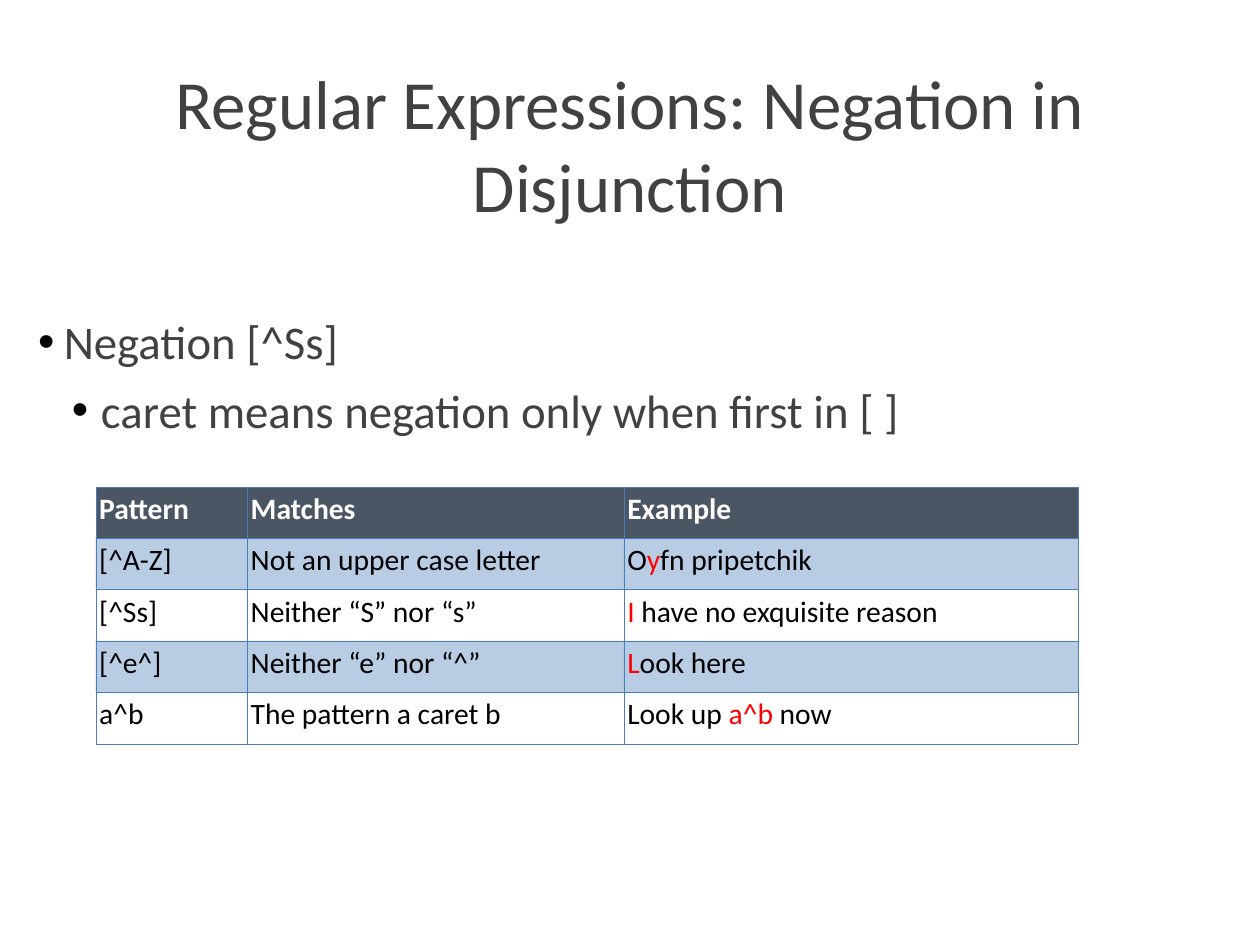
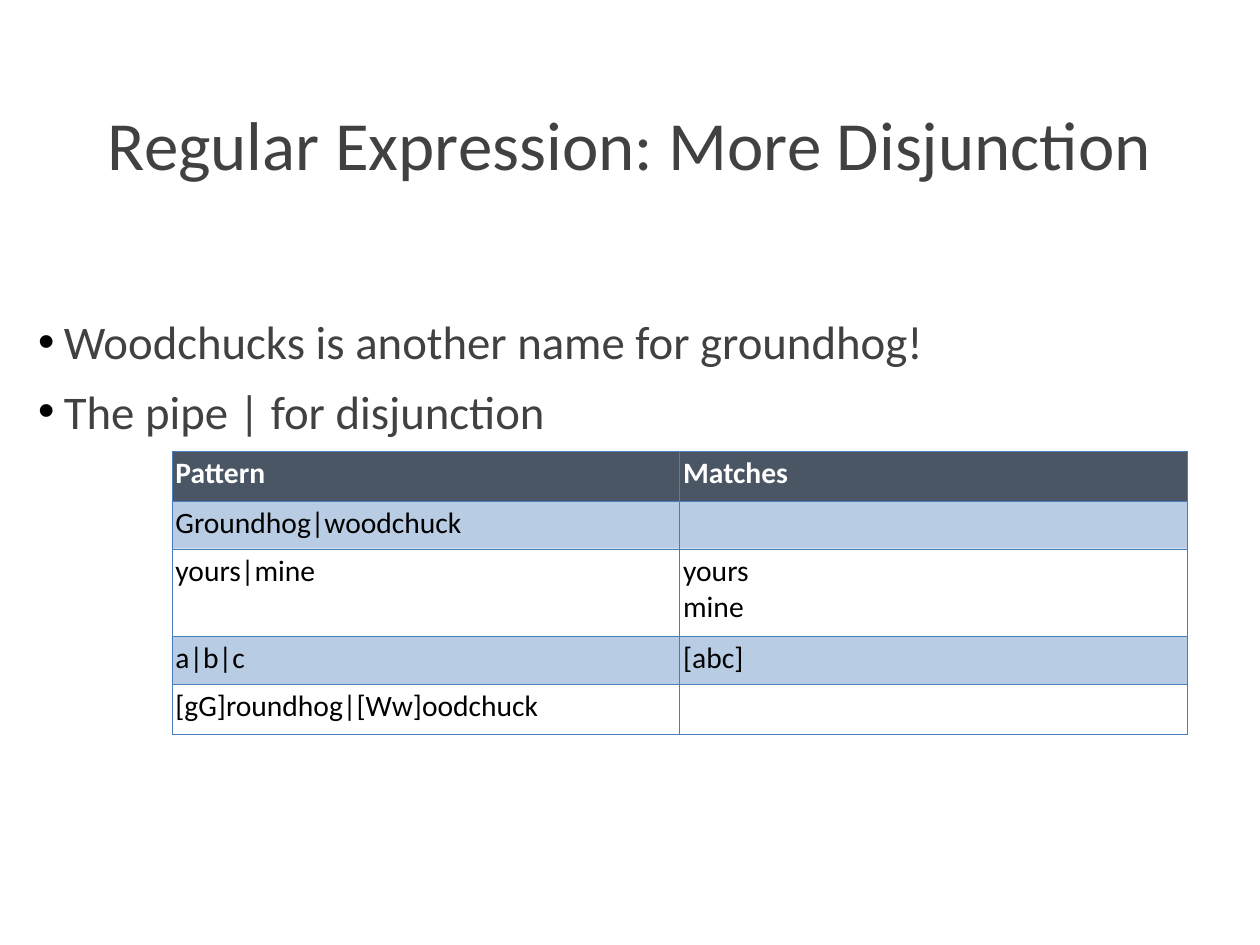
"""Build two slides on disjunction in regular expressions."""
from dataclasses import dataclass
from typing import Any

import pptx
import pptx.dml.color
import pptx.enum.text
import pptx.oxml
import pptx.oxml.ns
import pptx.util

Inches = pptx.util.Inches
Pt = pptx.util.Pt
NS = pptx.oxml.ns.nsdecls("a")

COLORS = {
    "text": "414141",
    "bullet": "000000",
    "header": "4B5664",
    "header_text": "FFFFFF",
    "band": "4F81BD",
    "border": "4A7DBB",
    "ink": "000000",
    "match": "FF0000",
}
BAND_ALPHA = 40
BORDER_PT = 0.34
TITLE_BOX = (0.39, 0.28, 13.44, 2.67)
BODY_BOX = (0.39, 3.49, 13.44, 6.39)
INDENTS = ((0.29, -0.29), (0.71, -0.33))

TITLE_FONT = {"name": "Calibri", "size": Pt(56), "bold": False}
BODY_FONT = {"name": "Calibri", "size": Pt(38), "bold": False}
CELL_FONT = {"name": "Calibri", "size": Pt(24), "bold": False}
HEADER_FONT = {**CELL_FONT, "bold": True}
BOX_FORMAT = {
    "word_wrap": True,
    **{f"margin_{side}": Inches(0.04) for side in ("left", "right", "top", "bottom")},
}
CELL_FORMAT = {
    "margin_left": Inches(0.04),
    "margin_right": Inches(0.04),
    "margin_top": Inches(0.05),
    "margin_bottom": Inches(0.05),
}


@dataclass(frozen=True)
class Bullet:
    """A bulleted line, its level and the space before it in points."""

    text: str
    level: int = 0
    before: float = 0


@dataclass(frozen=True)
class Grid:
    """A table whose cells mark matched text between tildes."""

    left: float
    top: float
    cols: tuple[float, ...]
    heights: tuple[float, ...]
    rows: tuple[tuple[str, ...], ...]


@dataclass(frozen=True)
class Page:
    """The content of one slide."""

    title: str
    bullets: tuple[Bullet, ...]
    grid: Grid


PAGES = (
    Page(
        "Regular Expressions: Negation in Disjunction",
        (
            Bullet("Negation [^Ss]"),
            Bullet("caret means negation only when first in [ ]", level=1, before=10),
        ),
        Grid(1.08, 5.49, (1.71, 4.25, 5.13), (0.58,) * 5, (
            ("Pattern", "Matches", "Example"),
            ("[^A-Z]", "Not an upper case letter", "O~y~fn pripetchik"),
            ("[^Ss]", "Neither “S” nor “s”", "~I ~have no exquisite reason"),
            ("[^e^]", "Neither “e” nor “^”", "~L~ook here"),
            ("a^b", "The pattern a caret b", "Look up ~a^b~ now"),
        )),
    ),
    Page(
        "Regular Expression: More Disjunction",
        (
            Bullet("Woodchucks is another name for groundhog!"),
            Bullet("The pipe | for disjunction", before=11),
        ),
        Grid(1.94, 5.09, (5.73, 5.73), (0.56, 0.54, 0.99, 0.54, 0.56), (
            ("Pattern", "Matches"),
            ("Groundhog|woodchuck", ""),
            ("yours|mine", "yours\nmine"),
            ("a|b|c", "[abc]"),
            ("[gG]roundhog|[Ww]oodchuck", ""),
        )),
    ),
)


def apply(obj: Any, values: dict[str, Any]) -> None:
    """Set each named attribute of an object."""
    for name, value in values.items():
        setattr(obj, name, value)


def rgb(key: str) -> pptx.dml.color.RGBColor:
    """Return a palette colour."""
    return pptx.dml.color.RGBColor.from_string(COLORS[key])


def add_run(p: Any, text: str, font: dict[str, Any], color: str) -> None:
    """Add a formatted run to a paragraph."""
    r = p.add_run()
    r.text = text
    apply(r.font, font)
    r.font.color.rgb = rgb(color)


def add_box(s: Any, box: tuple[float, ...]) -> Any:
    """Add a text box and return its text frame."""
    tf = s.shapes.add_textbox(*map(Inches, box)).text_frame
    apply(tf, BOX_FORMAT)
    return tf


def add_title(s: Any, title: str) -> None:
    """Add the centred slide title."""
    tf = add_box(s, TITLE_BOX)
    tf.vertical_anchor = pptx.enum.text.MSO_ANCHOR.MIDDLE
    p = tf.paragraphs[0]
    p.alignment = pptx.enum.text.PP_ALIGN.CENTER
    add_run(p, title, TITLE_FONT, "text")


def add_bullets(s: Any, bullets: tuple[Bullet, ...]) -> None:
    """Add the bulleted body text."""
    tf = add_box(s, BODY_BOX)
    for i, bullet in enumerate(bullets):
        p = tf.add_paragraph() if i else tf.paragraphs[0]
        pPr = p._p.get_or_add_pPr()
        margin, indent = INDENTS[bullet.level]
        pPr.set("marL", str(Inches(margin)))
        pPr.set("indent", str(Inches(indent)))
        for xml in (
            f'<a:buClr {NS}><a:srgbClr val="{COLORS["bullet"]}"/></a:buClr>',
            f'<a:buFont {NS} typeface="Arial"/>',
            f'<a:buChar {NS} char="•"/>',
        ):
            pPr.append(pptx.oxml.parse_xml(xml))
        apply(p, {"level": bullet.level, "space_before": Pt(bullet.before)})
        add_run(p, bullet.text, BODY_FONT, "text")


def style_cell(cell: Any, row: int) -> None:
    """Give a cell its margins, borders and the fill of its row."""
    apply(cell, CELL_FORMAT)
    tcPr = cell._tc.get_or_add_tcPr()
    for side in "LRTB":
        tcPr.append(pptx.oxml.parse_xml(
            f'<a:ln{side} {NS} w="{Pt(BORDER_PT)}"><a:solidFill>'
            f'<a:srgbClr val="{COLORS["border"]}"/></a:solidFill></a:ln{side}>'
        ))
    if row and row % 2 == 0:
        cell.fill.background()
        return
    cell.fill.solid()
    cell.fill.fore_color.rgb = rgb("band" if row else "header")
    if row:
        color = tcPr.find(".//" + pptx.oxml.ns.qn("a:solidFill") + "[last()]")
        color = tcPr.find(pptx.oxml.ns.qn("a:solidFill"))[0]
        color.append(pptx.oxml.parse_xml(f'<a:alpha {NS} val="{BAND_ALPHA * 1000}"/>'))


def fill_cell(cell: Any, text: str, row: int) -> None:
    """Write the lines of a cell, with matched text in its own colour."""
    font, ink = (CELL_FONT, "ink") if row else (HEADER_FONT, "header_text")
    tf = cell.text_frame
    for i, line in enumerate(text.split("\n")):
        p = tf.add_paragraph() if i else tf.paragraphs[0]
        for j, part in enumerate(line.split("~")):
            if part:
                add_run(p, part, font, "match" if j % 2 else ink)


def add_grid(s: Any, grid: Grid) -> None:
    """Add the table of patterns."""
    box = (grid.left, grid.top, sum(grid.cols), sum(grid.heights))
    table = s.shapes.add_table(
        len(grid.rows), len(grid.cols), *map(Inches, box)
    ).table
    apply(table, {"first_row": False, "horz_banding": False})
    for col, width in zip(table.columns, grid.cols):
        col.width = Inches(width)
    for i, (height, texts) in enumerate(zip(grid.heights, grid.rows)):
        table.rows[i].height = Inches(height)
        for j, text in enumerate(texts):
            cell = table.cell(i, j)
            style_cell(cell, i)
            fill_cell(cell, text, i)


def main() -> None:
    """Build and save the presentation."""
    prs = pptx.Presentation()
    apply(prs, {"slide_width": Inches(14.22), "slide_height": Inches(10.66)})
    for page in PAGES:
        s = prs.slides.add_slide(prs.slide_layouts[6])
        add_title(s, page.title)
        add_bullets(s, page.bullets)
        add_grid(s, page.grid)
    prs.save("out.pptx")


if __name__ == "__main__":
    main()
